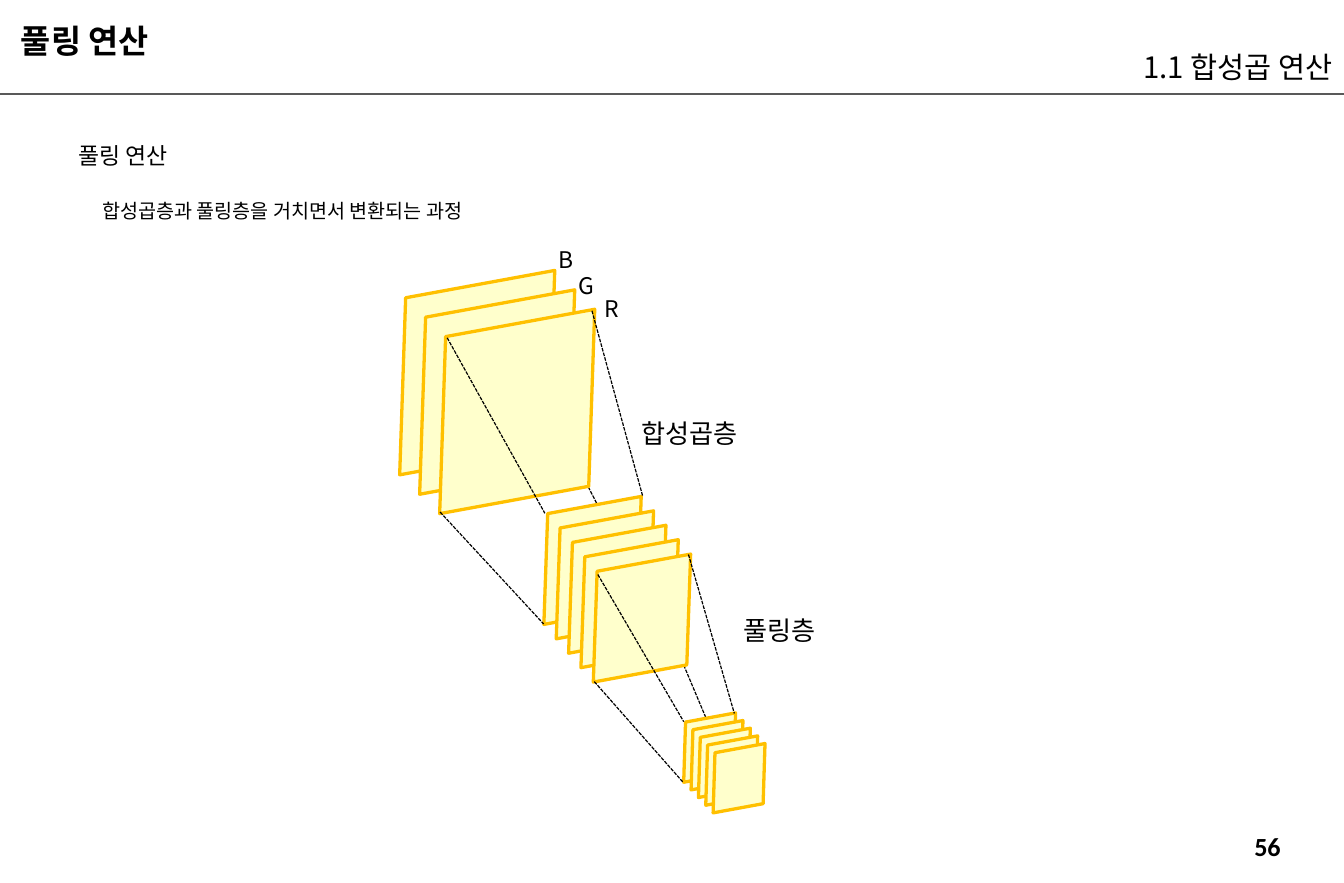
"""Build the pooling operation slide with its stacks of feature maps."""
from dataclasses import dataclass
from lxml.etree import SubElement
from pptx import Presentation
from pptx.dml.color import RGBColor
from pptx.enum.dml import MSO_LINE
from pptx.enum.shapes import MSO_CONNECTOR, MSO_SHAPE
from pptx.enum.text import MSO_ANCHOR, MSO_AUTO_SIZE, PP_ALIGN
from pptx.oxml.ns import qn
from pptx.util import Inches, Pt


@dataclass(frozen=True)
class Theme:
    """Colours, fonts and sizes of the slide."""
    text: RGBColor = RGBColor(0, 0, 0)
    rule: RGBColor = RGBColor(0x59, 0x59, 0x59)
    plane_fill: RGBColor = RGBColor(0xFF, 0xFF, 0xCC)
    plane_line: RGBColor = RGBColor(0xFF, 0xC0, 0)
    heading_font: str = "Calibri"
    body_font: str = "Noto Sans CJK KR"
    title: int = 20
    section: int = 18
    layer: int = 16
    topic: int = 14
    detail: int = 12


THEME = Theme()
SLIDE_SIZE = (11.42, 7.5)
PLANE_ROTATION = 349.6

TITLE = ("풀링 연산", (0.08, 0.09, 6.48, 0.44))
SECTION = ("1.1 합성곱 연산", (6.11, 0.3, 5.31, 0.44))
PAGE_NUMBER = ("56", (10.17, 7, 1.2, 0.24))
DETAIL = ("합성곱층과 풀링층을 거치면서 변환되는 과정", (0.77, 1.64, 3.27, 0.3))
LABELS = [
    ("풀링 연산", (0.57, 1.15, 0.97, 0.34), THEME.topic),
    ("합성곱층", (5.35, 3.5, 1.03, 0.37), THEME.layer),
    ("풀링층", (6.22, 5.17, 0.82, 0.37), THEME.layer),
    ("R", (5.04, 2.45, 0.32, 0.34), THEME.topic),
    ("G", (4.82, 2.26, 0.34, 0.34), THEME.topic),
    ("B", (4.65, 2.04, 0.33, 0.34), THEME.topic),
]
STACKS = [
    {"count": 3, "start": (3.25, 2.43), "step": (0.17, 0.165), "size": (1.61, 1.47)},
    {"count": 5, "start": (4.53, 4.3), "step": (0.105, 0.1225), "size": (1.01, 0.92)},
    {"count": 5, "start": (5.76, 6.1), "step": (0.0625, 0.065), "size": (0.54, 0.5)},
]
HIDDEN_EDGES = [((5.81, 5.65), (6.16, 6.48)), ((4.98, 4.1), (5.49, 5.09))]
VISIBLE_EDGES = [
    ((5.03, 2.64), (5.46, 4.21)),
    ((3.8, 2.87), (4.63, 4.36)),
    ((3.74, 4.35), (4.62, 5.3)),
    ((5.08, 4.88), (5.81, 6.13)),
    ((5.85, 4.71), (6.24, 6.06)),
    ((5.05, 5.79), (5.8, 6.64)),
]
HEADING_FRAME = {
    "word_wrap": True, "vertical_anchor": MSO_ANCHOR.BOTTOM,
    "margin_top": Inches(0.02), "margin_bottom": Inches(0.02),
}
LABEL_FRAME = {"word_wrap": False, "auto_size": MSO_AUTO_SIZE.SHAPE_TO_FIT_TEXT}


def apply_format(target, values):
    for name, value in values.items():
        setattr(target, name, value)


def add_text(slide, text, box, size, frame_format, font=THEME.body_font,
             bold=False, alignment=PP_ALIGN.LEFT):
    frame = slide.shapes.add_textbox(*map(Inches, box)).text_frame
    apply_format(frame, frame_format)
    paragraph = frame.paragraphs[0]
    paragraph.alignment = alignment
    run = paragraph.add_run()
    run.text = text
    apply_format(run.font, {"name": font, "size": Pt(size), "bold": bold})
    run.font.color.rgb = THEME.text


def add_line(slide, start, end, color, width, dash=None):
    connector = slide.shapes.add_connector(
        MSO_CONNECTOR.STRAIGHT, *map(Inches, start + end))
    apply_format(connector.line, {"width": Pt(width), "dash_style": dash})
    connector.line.color.rgb = color
    SubElement(connector._element.spPr, qn("a:effectLst"))


def add_edges(slide, edges):
    for start, end in edges:
        add_line(slide, start, end, THEME.text, 0.75, MSO_LINE.SQUARE_DOT)


def add_stack(slide, count, start, step, size):
    for index in range(count):
        left, top = (origin + index * gap for origin, gap in zip(start, step))
        plane = slide.shapes.add_shape(
            MSO_SHAPE.FLOWCHART_DATA, *map(Inches, (left, top) + size))
        plane.rotation = PLANE_ROTATION
        plane.shadow.inherit = False
        plane.fill.solid()
        plane.fill.fore_color.rgb = THEME.plane_fill
        plane.line.color.rgb = THEME.plane_line
        plane.line.width = Pt(2)


def main():
    presentation = Presentation()
    presentation.slide_width, presentation.slide_height = map(Inches, SLIDE_SIZE)
    slide = presentation.slides.add_slide(presentation.slide_layouts[6])

    add_text(slide, *PAGE_NUMBER, THEME.layer, {"word_wrap": True},
             THEME.heading_font, True, PP_ALIGN.CENTER)
    add_line(slide, (0, 0.8), (SLIDE_SIZE[0], 0.8), THEME.rule, 1.5)
    add_text(slide, *TITLE, THEME.title, HEADING_FRAME, THEME.heading_font, True)
    add_text(slide, *SECTION, THEME.section, HEADING_FRAME, alignment=PP_ALIGN.RIGHT)
    add_text(slide, *DETAIL, THEME.detail, {"word_wrap": True})

    add_edges(slide, HIDDEN_EDGES)
    for stack in STACKS:
        add_stack(slide, **stack)
    add_edges(slide, VISIBLE_EDGES)
    for text, box, size in LABELS:
        add_text(slide, text, box, size, LABEL_FRAME)

    presentation.save("out.pptx")


if __name__ == "__main__":
    main()
